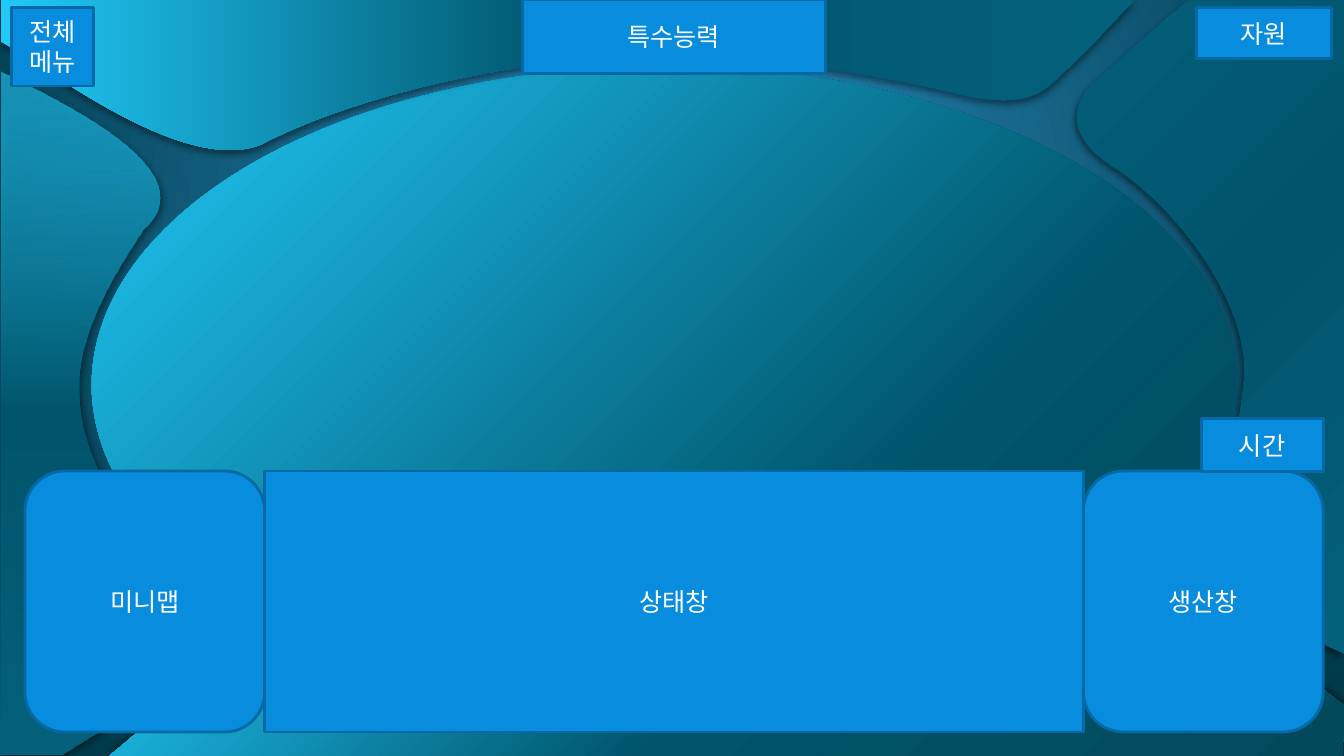
import lxml.etree
import pptx
import pptx.dml.color
import pptx.enum.shapes
import pptx.enum.text
import pptx.oxml.ns
import pptx.util

Pt = pptx.util.Pt
RGB = pptx.dml.color.RGBColor
SHAPE = pptx.enum.shapes.MSO_SHAPE
qn = pptx.oxml.ns.qn

WHITE = RGB(0xFF, 0xFF, 0xFF)
BLACK = RGB(0x00, 0x00, 0x00)
PANEL = RGB(0x08, 0x8C, 0xDE)
PANEL_EDGE = RGB(0x06, 0x68, 0xA4)
CYAN = RGB(0x20, 0xC9, 0xF8)
TEAL = RGB(0x04, 0x61, 0x7B)
DEEP_TEAL = RGB(0x00, 0x54, 0x6B)
DARK_TEAL = RGB(0x03, 0x49, 0x5C)
SKY = RGB(0x2C, 0x8C, 0xC2)
NIGHT = RGB(0x00, 0x3B, 0x4B)

LABEL_FONT = {"name": "Lato", "size": Pt(18)}
LABEL_FRAME = {"word_wrap": True, "vertical_anchor": pptx.enum.text.MSO_ANCHOR.MIDDLE}
FIRST_BACKDROP_ID = 20

RIGHT_CELL = [
    (849, 0.5), (833, 12, 796, 47, 781, 59), (768, 72, 758, 95, 795, 119),
    (838, 146, 891, 213, 889, 268), (884, 318, 880, 321, 862, 356),
    (823, 408, 899, 439, 960, 467), (960, 312, 960, 156, 960, 0.5), (849, 0.5),
]
BOTTOM_CELL = [
    (78, 540), (151, 479, 180, 446, 240, 468), (299, 490, 393, 507, 474, 505.5),
    (620, 505.5, 692, 474, 726, 460), (759, 450, 793, 422, 841, 434),
    (877, 442, 940, 488, 960, 504), (959, 540.5), (78, 540),
]
LEFT_CELL = [
    (0.5, 51), (44, 73, 150, 122, 102.5, 164), (88.5, 186, 56.5, 232, 56.5, 276),
    (56.5, 320, 78, 365, 134.5, 416), (193, 459, 57, 529, 44.5, 539),
    (0, 539), (0.5, 51),
]
TOP_CELL = [
    (0.5, 0), (810, 0), (793, 18, 776, 37, 757, 54), (747, 64, 735, 77, 693, 69),
    (637, 55, 537, 37, 453, 40), (369, 43, 256, 67, 187, 103),
    (130, 127, 24, 41, 0.5, 30), (0.5, 20, 0.5, 10, 0.5, 0),
]
CELLS = [
    (RIGHT_CELL, [(0, TEAL), (50, DEEP_TEAL), (100, TEAL)], 45, 135),
    (BOTTOM_CELL, [(0, CYAN), (50, DEEP_TEAL), (100, DARK_TEAL)], 45, 270),
    (LEFT_CELL, [(0, CYAN, 63), (50, DEEP_TEAL), (100, TEAL)], 90, 45),
    (TOP_CELL, [(0, CYAN), (50, DEEP_TEAL), (100, TEAL)], 0, 90),
]


def set_attributes(target, values):
    for name, value in values.items():
        setattr(target, name, value)


def add_child(parent, tag, **attributes):
    texts = {name: str(value) for name, value in attributes.items()}
    return lxml.etree.SubElement(parent, qn(tag), texts)


def add_color(parent, color, alpha=100):
    tint = add_child(parent, "a:srgbClr", val=color)
    if alpha < 100:
        add_child(tint, "a:alpha", val=alpha * 1000)


def paint_gradient(fill, properties, stops, angle=None, focus=None):
    fill.solid()
    solid = properties.find(qn("a:solidFill"))
    gradient = lxml.etree.Element(qn("a:gradFill"), rotWithShape="1")
    stop_list = add_child(gradient, "a:gsLst")
    for position, *color in stops:
        add_color(add_child(stop_list, "a:gs", pos=position * 1000), *color)
    if focus:
        radial = add_child(gradient, "a:path", path="circle")
        edges = {edge: share * 1000 for edge, share in zip("ltrb", focus)}
        add_child(radial, "a:fillToRect", **edges)
    else:
        add_child(gradient, "a:lin", ang=angle * 60000, scaled=0)
    properties.replace(solid, gradient)


def cast_shadow(shape, direction):
    effects = shape.element.spPr.find(qn("a:effectLst"))
    shadow = add_child(effects, "a:outerShdw", blurRad=Pt(4), dist=Pt(3),
                       dir=direction * 60000, algn="ctr", rotWithShape=0)
    add_color(shadow, BLACK, 40)


def bend_lines(shape, segments):
    lines = iter(list(shape.element.iter(qn("a:lnTo"))))
    for segment in segments:
        first = next(lines)
        if len(segment) == 6:
            first.tag = qn("a:cubicBezTo")
            for line in (next(lines), next(lines)):
                first.append(line[0])
                line.getparent().remove(line)


def add_cell(slide, box, outline, stops, angle, shadow_direction):
    left, top = box[:2]
    points = [(Pt(left + x), Pt(top + y)) for segment in outline
              for x, y in zip(segment[::2], segment[1::2])]
    builder = slide.shapes.build_freeform(*points[0])
    builder.add_line_segments(points[1:], close=True)
    cell = builder.convert_to_shape()
    bend_lines(cell, outline[1:])
    cell.shadow.inherit = False
    cell.line.fill.background()
    paint_gradient(cell.fill, cell.element.spPr, stops, angle)
    cast_shadow(cell, shadow_direction)


def add_backdrop(slide, box):
    left, top = box[:2]
    fill = slide.background.fill
    fill.solid()
    properties = slide.element.xpath("p:cSld/p:bg/p:bgPr")[0]
    paint_gradient(fill, properties, [(0, SKY), (100, NIGHT)], focus=(50, 30, 50, 70))
    for cell in CELLS[:3]:
        add_cell(slide, box, *cell)
    arena = slide.shapes.add_shape(SHAPE.OVAL, Pt(left + 65.5), Pt(top + 47), Pt(818), Pt(456))
    arena.shadow.inherit = False
    arena.line.fill.background()
    paint_gradient(arena.fill, arena.element.spPr,
                   [(0, CYAN), (69, DEEP_TEAL), (100, DARK_TEAL)], focus=(0, 0, 100, 100))
    add_cell(slide, box, *CELLS[3])


def move_to_master(slide, master):
    tree = master.element.cSld.spTree
    for index, shape in enumerate(list(slide.shapes)):
        shape.element.xpath(".//p:cNvPr")[0].set("id", str(FIRST_BACKDROP_ID + index))
        tree.insert(2 + index, shape.element)


def add_panel(slide, label, left, top, width, height, outline=SHAPE.RECTANGLE):
    panel = slide.shapes.add_shape(outline, Pt(left), Pt(top), Pt(width), Pt(height))
    panel.shadow.inherit = False
    panel.fill.solid()
    panel.fill.fore_color.rgb = PANEL
    panel.line.color.rgb = PANEL_EDGE
    panel.line.width = Pt(2)
    set_attributes(panel.text_frame, LABEL_FRAME)
    paragraph = panel.text_frame.paragraphs[0]
    paragraph.alignment = pptx.enum.text.PP_ALIGN.CENTER
    run = paragraph.add_run()
    run.text = label
    set_attributes(run.font, LABEL_FONT)
    run.font.color.rgb = WHITE


def add_ability(slide, box):
    left, top, width, height = box
    add_panel(slide, "특수능력", left + 373, top, 216.5, 52.3)


def add_console(slide, box):
    left, top, width, height = box
    side = 171.3
    add_panel(slide, "미니맵", left, top, side, height, SHAPE.ROUNDED_RECTANGLE)
    add_panel(slide, "상태창", left + side, top, width - 2 * side, height)
    add_panel(slide, "생산창", left + width - side, top, side, height, SHAPE.ROUNDED_RECTANGLE)


def add_corners(slide, box):
    left, top, width, height = box
    right = left + width
    add_panel(slide, "전체메뉴", left + 8, top + 5.4, 59, 56)
    add_panel(slide, "자원", right - 105.4, top + 5.4, 96.5, 36.6)
    add_panel(slide, "시간", right - 102, top + 299, 87.2, 37.8)


deck = pptx.Presentation()
deck.slide_width, deck.slide_height = Pt(960), Pt(540)
screen = deck.slides.add_slide(deck.slide_layouts[6])
full_screen = (0, 0, 960, 540)
add_backdrop(screen, full_screen)
move_to_master(screen, deck.slide_master)
add_ability(screen, full_screen)
add_console(screen, (17.8, 336.4, 927.4, 186.5))
add_corners(screen, full_screen)
deck.save("out.pptx")
